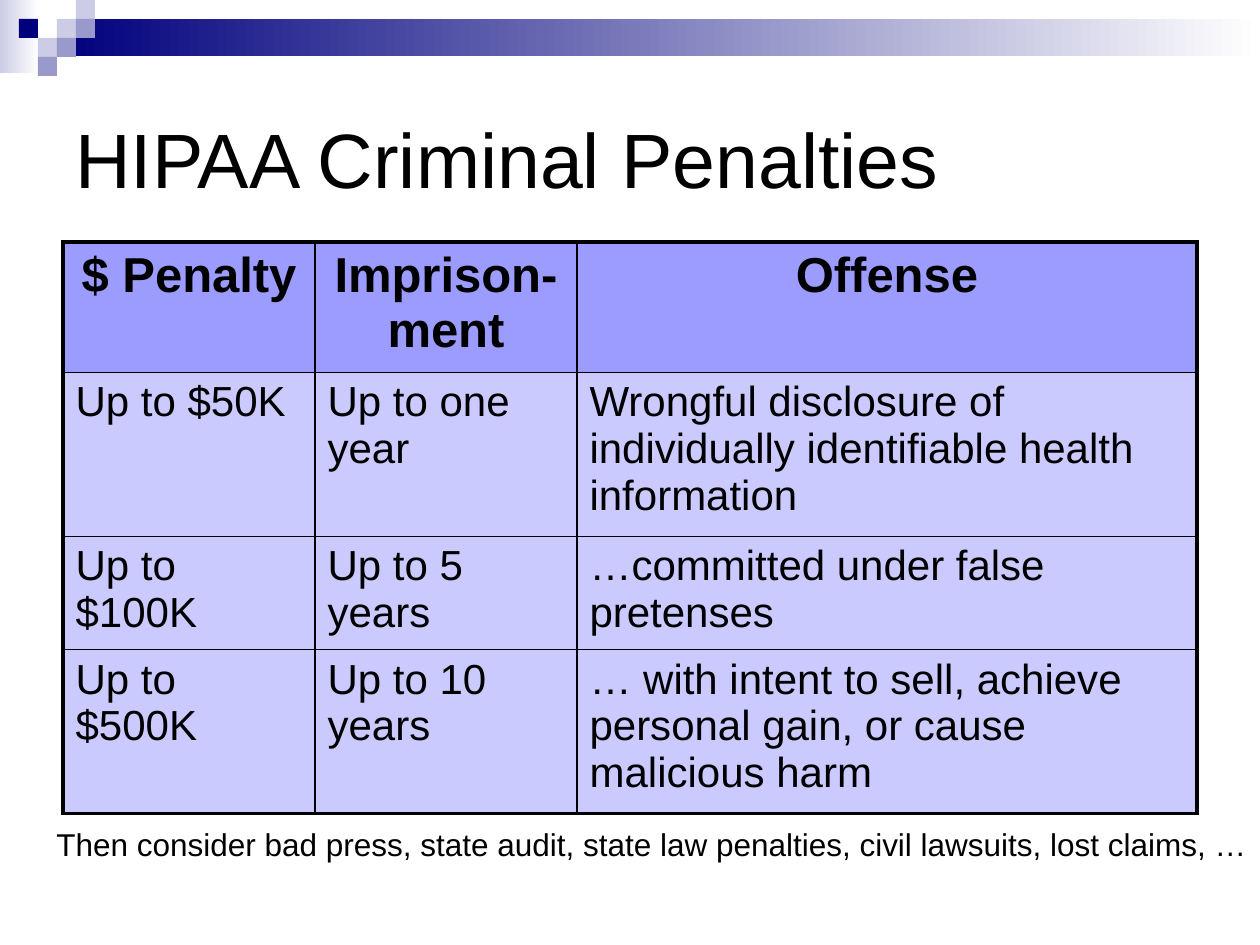
from lxml import etree
from pptx import Presentation
from pptx.dml.color import RGBColor
from pptx.enum import shapes, text
from pptx.oxml import ns
from pptx.util import Pt

SCALE = 914400 / 126
BLACK = RGBColor(0, 0, 0)
WHITE = RGBColor(255, 255, 255)
NAVY = RGBColor(0x00, 0x00, 0x7D)
LAVENDER = RGBColor(0xCC, 0xCC, 0xE6)
PERIWINKLE = RGBColor(0x99, 0x99, 0xCC)
HEADER_FILL = RGBColor(0x9C, 0x9C, 0xFF)
BODY_FILL = RGBColor(0xCA, 0xCA, 0xFF)

COLUMNS = [252, 262, 620]
ROWS = [130, 164, 113, 164]
PENALTIES = [
    ["$ Penalty", "Imprison-ment", "Offense"],
    ["Up to $50K", "Up to one year",
     "Wrongful disclosure of individually identifiable health information"],
    ["Up to $100K", "Up to 5 years", "…committed under false pretenses"],
    ["Up to $500K", "Up to 10 years",
     "… with intent to sell, achieve personal gain, or cause malicious harm"],
]


def px(*lengths):
    return [round(length * SCALE) for length in lengths]


def style(paragraph, size, bold=False):
    paragraph.font.name = "Arial"
    paragraph.font.size = Pt(size)
    paragraph.font.bold = bold
    paragraph.font.color.rgb = BLACK


def add_rectangle(slide, box, color, fade=False):
    shape = slide.shapes.add_shape(shapes.MSO_SHAPE.RECTANGLE, *px(*box))
    shape.shadow.inherit = False
    shape.line.fill.background()
    if fade:
        shape.fill.gradient()
        shape.fill.gradient_angle = 0
        for stop, stop_color in zip(shape.fill.gradient_stops, (color, WHITE)):
            stop.color.rgb = stop_color
    else:
        shape.fill.solid()
        shape.fill.fore_color.rgb = color


def add_banner(slide, left, top, width):
    unit = 19
    add_rectangle(slide, (left, top, 39, 73), LAVENDER, fade=True)
    add_rectangle(slide, (left + 3 * unit, top + unit, width - 3 * unit, 2 * unit - 1),
                  NAVY, fade=True)
    squares = [(3, 1, LAVENDER), (4, 0, LAVENDER), (4, 1, PERIWINKLE), (2, 2, LAVENDER),
               (1, 1, NAVY), (3, 2, PERIWINKLE), (2, 3, PERIWINKLE)]
    for column, row, color in squares:
        add_rectangle(slide, (left + column * unit, top + row * unit, unit, unit), color)


def add_text(slide, box, words, size, wrap=True, anchor=text.MSO_ANCHOR.TOP):
    frame = slide.shapes.add_textbox(*px(*box)).text_frame
    frame.word_wrap = wrap
    frame.vertical_anchor = anchor
    frame.text = words
    style(frame.paragraphs[0], size)


def add_border(cell, side, width):
    properties = cell._tc.get_or_add_tcPr()
    line = etree.SubElement(properties, ns.qn("a:ln" + side), w=str(Pt(width)))
    fill = etree.SubElement(line, ns.qn("a:solidFill"))
    etree.SubElement(fill, ns.qn("a:srgbClr"), val=str(BLACK))


def add_penalty_table(slide, left, top):
    box = px(left, top, sum(COLUMNS), sum(ROWS))
    table = slide.shapes.add_table(len(ROWS), len(COLUMNS), *box).table
    for column, width in zip(table.columns, px(*COLUMNS)):
        column.width = width
    for row, height in zip(table.rows, px(*ROWS)):
        row.height = height
    for r, entries in enumerate(PENALTIES):
        header = r == 0
        for c, words in enumerate(entries):
            cell = table.cell(r, c)
            cell.text = words
            paragraph = cell.text_frame.paragraphs[0]
            style(paragraph, 28 if header else 24, header)
            paragraph.alignment = text.PP_ALIGN.CENTER if header else text.PP_ALIGN.LEFT
            outer = {"L": c == 0, "R": c == len(COLUMNS) - 1,
                     "T": header, "B": r == len(ROWS) - 1}
            for side, is_outer in outer.items():
                add_border(cell, side, 2.25 if is_outer else 1)
            cell.fill.solid()
            cell.fill.fore_color.rgb = HEADER_FILL if header else BODY_FILL


def build():
    presentation = Presentation()
    presentation.slide_width, presentation.slide_height = px(1260, 945)
    slide = presentation.slides.add_slide(presentation.slide_layouts[6])
    add_banner(slide, 0, 0, 1260)
    add_text(slide, (63, 63, 1134, 189), "HIPAA Criminal Penalties", 44,
             anchor=text.MSO_ANCHOR.MIDDLE)
    add_penalty_table(slide, 63, 242)
    add_text(slide, (44, 819, 1216, 50),
             "Then consider bad press, state audit, state law penalties, "
             "civil lawsuits, lost claims, …", 18, wrap=False)
    presentation.save("out.pptx")


build()
